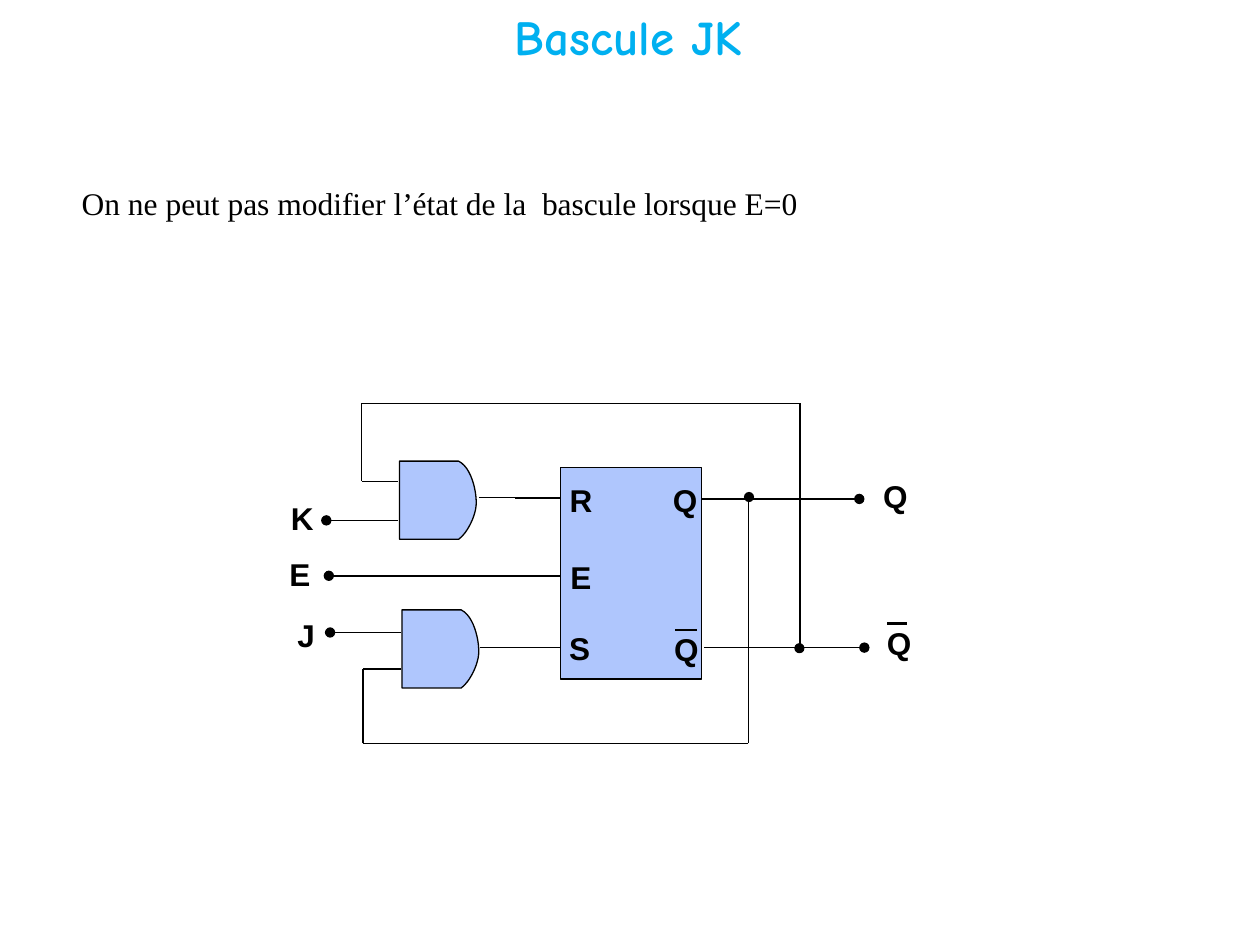
from lxml.etree import SubElement
from pptx import Presentation
from pptx.dml.color import RGBColor
from pptx.enum.shapes import MSO_CONNECTOR, MSO_SHAPE
from pptx.enum.text import MSO_ANCHOR, PP_ALIGN
from pptx.oxml.ns import qn
from pptx.util import Inches, Pt

COLORS = {k: RGBColor.from_string(v) for k, v in {
    "black": "000000", "title": "00B0F0", "block": "618FFD"}.items()}

prs = Presentation()
prs.slide_width, prs.slide_height = Inches(10), Inches(7.5)
s = prs.slides.add_slide(prs.slide_layouts[6])


def add_text(text, x, y, w, h, font="Arial", size=18, color="black",
             bold=True, align=PP_ALIGN.CENTER, wrap=False, inset=True):
    tf = s.shapes.add_textbox(Inches(x), Inches(y), Inches(w), Inches(h)).text_frame
    tf.word_wrap = wrap
    if not inset:
        tf.margin_left = tf.margin_right = tf.margin_top = tf.margin_bottom = 0
        tf.vertical_anchor = MSO_ANCHOR.MIDDLE
    p = tf.paragraphs[0]
    p.text = text
    p.alignment = align
    p.font.name, p.font.size, p.font.bold = font, Pt(size), bold
    p.font.color.rgb = COLORS[color]


def style(sp, color, alpha=None):
    """Fill and outline a shape; alpha is the fill opacity in percent."""
    sp.shadow.inherit = False
    sp.fill.solid()
    sp.fill.fore_color.rgb = COLORS[color]
    if alpha:
        clr = sp.fill._xPr.find(qn("a:solidFill"))[0]
        SubElement(clr, qn("a:alpha"), val=str(alpha * 1000))
    sp.line.color.rgb = COLORS["black"]
    sp.line.width = Pt(0.75)


add_text("On ne peut pas modifier l’état de la  bascule lorsque E=0",
         0.55, 1.41, 9.07, 0.4, font="Times New Roman", bold=False,
         align=PP_ALIGN.LEFT, wrap=True)

# RS latch block and its pin labels
latch = s.shapes.add_shape(MSO_SHAPE.RECTANGLE, Inches(4.45), Inches(3.71),
                           Inches(1.12), Inches(1.68))
style(latch, "block", 50)
for text, x, y in [("R", 4.52, 3.82), ("E", 4.52, 4.43), ("S", 4.51, 4.99),
                   ("Q", 5.34, 3.82), ("Q", 5.35, 5)]:
    add_text(text, x, y, 0.18, 0.3, inset=False)

# AND gates: the rounded side is two Bezier curves, as offsets from the top left
curves = [[(0.47, 0), (0.57, 0.05), (0.61, 0.23), (0.61, 0.33)],
          [(0.61, 0.33), (0.61, 0.43), (0.54, 0.57), (0.47, 0.62)]]
outline = [(0.47, 0)]
STEPS = 12
for curve in curves:
    for i in range(1, STEPS + 1):
        t = i / STEPS
        weights = ((1 - t) ** 3, 3 * t * (1 - t) ** 2, 3 * t ** 2 * (1 - t), t ** 3)
        outline.append(tuple(sum(w * pt[axis] for w, pt in zip(weights, curve))
                             for axis in (0, 1)))
outline.append((0, 0.62))
for x, y in [(3.17, 3.66), (3.19, 4.84)]:
    builder = s.shapes.build_freeform(Inches(x), Inches(y))
    builder.add_line_segments([(Inches(x + dx), Inches(y + dy)) for dx, dy in outline])
    style(builder.convert_to_shape(), "block", 50)

# Wires: x1, y1, x2, y2, width, oval at the start
wires = [
    (2.59, 4.13, 3.16, 4.13, 0.75, True),    # K
    (2.61, 4.57, 4.45, 4.57, 1, True),       # E
    (2.62, 5.02, 3.18, 5.02, 0.75, True),    # J
    (3.8, 3.95, 4.09, 3.95, 0.75, False),    # gate to R
    (4.09, 3.95, 4.45, 3.95, 1, False),
    (3.81, 5.14, 4.45, 5.14, 0.75, False),   # gate to S
    (6.82, 3.96, 5.57, 3.96, 0.75, True),    # Q output
    (6.86, 5.14, 5.59, 5.14, 0.75, True),    # inverted Q output
    (5.94, 3.95, 5.94, 5.9, 0.75, False),    # feedback from Q
    (5.94, 5.9, 2.88, 5.9, 0.75, False),
    (2.88, 5.9, 2.88, 5.31, 0.75, False),
    (2.88, 5.31, 3.18, 5.31, 0.75, False),
    (6.35, 5.14, 6.35, 3.2, 0.75, False),    # feedback from inverted Q
    (6.35, 3.2, 2.87, 3.2, 0.75, False),
    (2.87, 3.2, 2.87, 3.82, 0.75, False),
    (2.87, 3.82, 3.16, 3.82, 0.75, False),
    (5.36, 5, 5.53, 5, 1.5, False),          # bars over Q
    (7.04, 4.95, 7.2, 4.95, 1.5, False),
]
for x1, y1, x2, y2, width, oval in wires:
    wire = s.shapes.add_connector(MSO_CONNECTOR.STRAIGHT, Inches(x1), Inches(y1),
                                  Inches(x2), Inches(y2))
    wire.line.color.rgb = COLORS["black"]
    wire.line.width = Pt(width)
    if oval:
        SubElement(wire.line._get_or_add_ln(), qn("a:headEnd"), type="oval")
    SubElement(wire._element.spPr, qn("a:effectLst"))

# Feedback junctions
for x, y in [(5.91, 3.91), (6.31, 5.11)]:
    style(s.shapes.add_shape(MSO_SHAPE.OVAL, Inches(x), Inches(y),
                             Inches(0.07), Inches(0.07)), "black")

# Inputs and outputs
for text, x, y in [("K", 2.21, 3.91), ("E", 2.19, 4.36), ("J", 2.24, 4.84),
                   ("Q", 6.91, 3.74), ("Q", 6.94, 4.9)]:
    add_text(text, x, y, 0.38, 0.4)

add_text("Bascule JK", 3.86, 0, 2.26, 0.57, font="Comic Neue", size=28, color="title")

prs.save("out.pptx")
